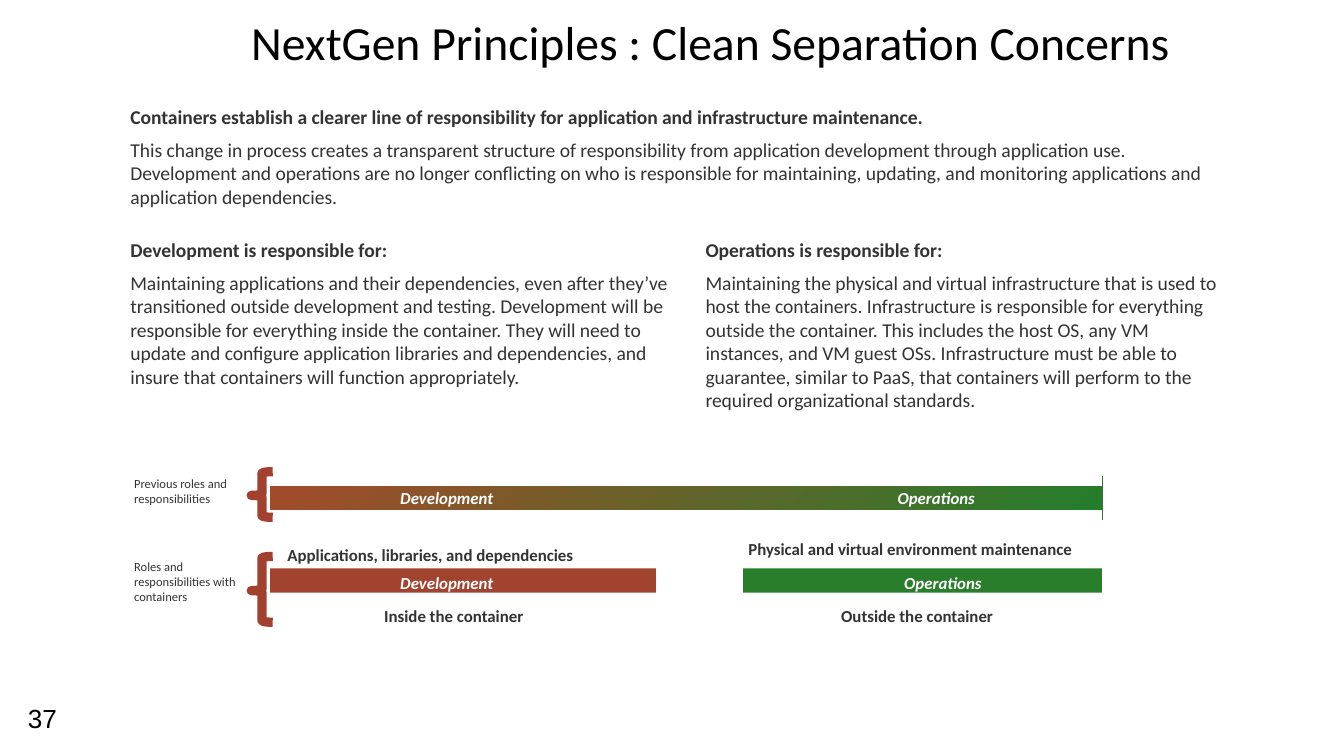
from lxml.etree import SubElement
from pptx import Presentation
from pptx.dml.color import RGBColor
from pptx.enum.shapes import MSO_SHAPE
from pptx.enum.text import MSO_ANCHOR, PP_ALIGN
from pptx.oxml.ns import qn
from pptx.util import Inches, Pt

BLACK = RGBColor(0x00, 0x00, 0x00)
WHITE = RGBColor(0xFF, 0xFF, 0xFF)
GRAY = RGBColor(0x33, 0x33, 0x33)
RED = RGBColor(0xA2, 0x43, 0x30)
GREEN = RGBColor(0x29, 0x7E, 0x2B)
BRACE_RED = RGBColor(0xA2, 0x41, 0x30)
BLEND_RED = RGBColor(0xA4, 0x4A, 0x2A)
BLEND_GREEN = RGBColor(0x22, 0x7E, 0x2B)


class SlideBuilder:
    font = "Calibri"
    body_size = 10.5
    label_size = 9
    note_size = 6.75

    def __init__(self, slide):
        self.slide = slide

    def frame(self, left, top, width, height, margins=(0.1, 0.05)):
        box = self.slide.shapes.add_textbox(
            Inches(left), Inches(top), Inches(width), Inches(height))
        frame = box.text_frame
        frame.word_wrap = True
        frame.margin_left = frame.margin_right = Inches(margins[0])
        frame.margin_top = frame.margin_bottom = Inches(margins[1])
        return frame

    def style(self, paragraph, size, color, bold=False, italic=False, font=None):
        for run in paragraph.runs:
            run.font.name = font or self.font
            run.font.size = Pt(size)
            run.font.color.rgb = color
            run.font.bold = bold
            run.font.italic = italic

    def text(self, words, left, top, width, height, size=label_size,
             color=GRAY, **look):
        frame = self.frame(left, top, width, height)
        frame.text = words
        self.style(frame.paragraphs[0], size, color, **look)

    def title(self, words, left, top, width, height):
        frame = self.frame(left, top, width, height, (0.1, 0.1))
        frame.vertical_anchor = MSO_ANCHOR.BOTTOM
        frame.text = words
        frame.paragraphs[0].alignment = PP_ALIGN.CENTER
        self.style(frame.paragraphs[0], 25.5, BLACK)

    def section(self, heading, body, left, top, width, height):
        frame = self.frame(left, top, width, height, (0.07, 0.04))
        frame.text = heading
        self.style(frame.paragraphs[0], self.body_size, GRAY, bold=True)
        detail = frame.add_paragraph()
        detail.text = body
        detail.space_before = Pt(5)
        self.style(detail, self.body_size, GRAY)

    def shape(self, kind, left, top, width, height):
        shape = self.slide.shapes.add_shape(
            kind, Inches(left), Inches(top), Inches(width), Inches(height))
        shape.shadow.inherit = False
        shape.line.fill.background()
        return shape

    def bar(self, left, top, width, height, color):
        bar = self.shape(MSO_SHAPE.RECTANGLE, left, top, width, height)
        bar.fill.solid()
        bar.fill.fore_color.rgb = color

    def blended_arrow(self, left, top, width, height):
        arrow = self.shape(MSO_SHAPE.RIGHT_ARROW, left, top, width, height)
        arrow.adjustments[0] = 0.53
        arrow.adjustments[1] = 0
        arrow.fill.gradient()
        for stop, color in zip(arrow.fill.gradient_stops, (BLEND_GREEN, BLEND_RED)):
            stop.color.rgb = color
        # Radial blend that starts from the bottom right corner
        gradient = arrow._element.spPr.find(qn("a:gradFill"))
        gradient.remove(gradient.find(qn("a:lin")))
        radial = SubElement(gradient, qn("a:path"), {"path": "circle"})
        SubElement(radial, qn("a:fillToRect"), {"l": "100000", "t": "100000"})

    def brace(self, left, top, width, height):
        brace = self.shape(MSO_SHAPE.RIGHT_BRACE, left, top, width, height)
        brace.adjustments[0] = 0.08
        brace.adjustments[1] = 0.52
        brace.fill.background()
        brace.line.color.rgb = BRACE_RED
        brace.line.width = Pt(5)
        brace._element.spPr.xfrm.set("flipH", "1")


def main():
    deck = Presentation()
    deck.slide_width = Inches(10)
    deck.slide_height = deck.slide_width * 9 // 16
    page = SlideBuilder(deck.slides.add_slide(deck.slide_layouts[6]))

    # Title and explanations
    page.title("NextGen Principles : Clean Separation Concerns", 0.82, 0.15, 8.94, 0.47)
    page.section(
        "Containers establish a clearer line of responsibility for application "
        "and infrastructure maintenance.",
        "This change in process creates a transparent structure of responsibility "
        "from application development through application use. Development and "
        "operations are no longer conflicting on who is responsible for maintaining, "
        "updating, and monitoring applications and application dependencies.",
        0.9, 0.74, 8.31, 0.89)
    page.section(
        "Development is responsible for:",
        "Maintaining applications and their dependencies, even after they’ve "
        "transitioned outside development and testing. Development will be "
        "responsible for everything inside the container. They will need to update "
        "and configure application libraries and dependencies, and insure that "
        "containers will function appropriately.",
        0.9, 1.73, 4.19, 1.65)
    page.section(
        "Operations is responsible for:",
        "Maintaining the physical and virtual infrastructure that is used to host "
        "the containers. Infrastructure is responsible for everything outside the "
        "container. This includes the host OS, any VM instances, and VM guest OSs. "
        "Infrastructure must be able to guarantee, similar to PaaS, that containers "
        "will perform to the required organizational standards.",
        5.18, 1.73, 4.03, 1.71)

    # Bars: shared before, separate with containers
    page.blended_arrow(2.01, 3.54, 6.19, 0.33)
    page.bar(2.01, 4.23, 2.87, 0.18, RED)
    page.bar(5.53, 4.23, 2.67, 0.18, GREEN)
    for top, operations_left in ((3.58, 6.58), (4.21, 6.63)):
        for role, left, width in (("Development", 2.88, 1.1),
                                  ("Operations", operations_left, 0.97)):
            page.text(role, left, top, width, 0.25, color=WHITE, bold=True, italic=True)

    # Captions above and below the separate bars
    for caption, left, top, width in (
            ("Applications, libraries, and dependencies", 2.04, 4, 2.85),
            ("Physical and virtual environment maintenance", 5.47, 3.96, 3.18),
            ("Inside the container", 2.76, 4.46, 1.41),
            ("Outside the container", 6.16, 4.46, 1.52)):
        page.text(caption, left, top, width, 0.25, bold=True)

    # Row names with braces
    for row, top, width, height, brace_top, brace_height in (
            ("Previous roles and responsibilities", 3.49, 1.04, 0.33, 3.51, 0.34),
            ("Roles and responsibilities with containers", 4.11, 1.02, 0.44, 4.14, 0.49)):
        page.text(row, 0.9, top, width, height, size=page.note_size)
        page.brace(1.87, brace_top, 0.16, brace_height)

    # Page number
    page.text("37", 0.11, 5.18, 0.46, 0.43, size=14, color=BLACK, font="Arial")

    deck.save("out.pptx")


if __name__ == "__main__":
    main()
